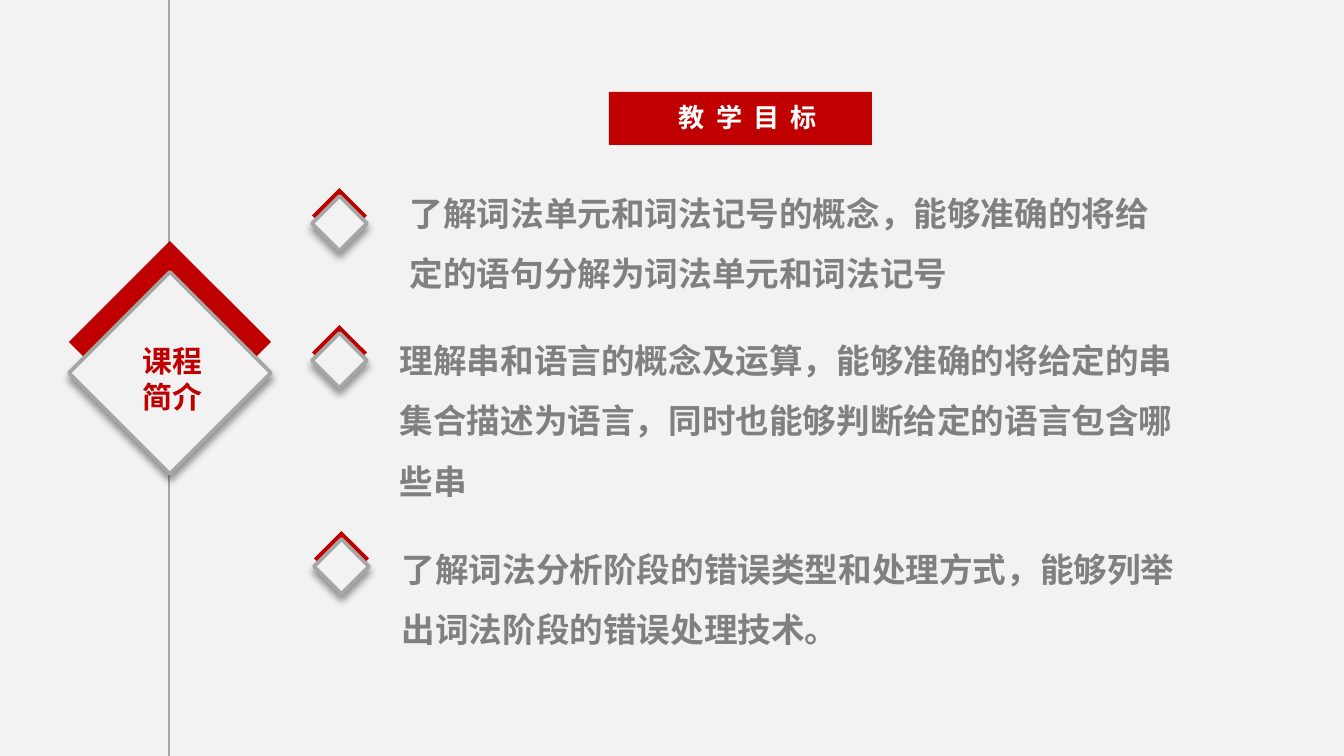
"""Build the course goals slide."""
from dataclasses import dataclass

from lxml import etree
from pptx import Presentation, util as u
from pptx.dml.color import RGBColor
from pptx.enum import shapes, text
from pptx.oxml import parse_xml
from pptx.oxml.ns import nsdecls, qn

SCALE = 914400 / 134.4
SHADE = (
    f'<a:outerShdw {nsdecls("a")} blurRad="50800" dist="38100" dir="5400000" '
    'algn="t" rotWithShape="0"><a:srgbClr val="000000"><a:alpha val="40000"/>'
    '</a:srgbClr></a:outerShdw>'
)


@dataclass(frozen=True)
class Theme:
    font: str = "Noto Sans CJK SC"
    red: str = "C00000"
    pale: str = "F2F2F2"
    edge: str = "A6A6A6"
    grey: str = "808080"
    white: str = "FFFFFF"
    head: int = 14
    label: int = 16
    body: int = 18


def px(*vals):
    return [u.Emu(round(v * SCALE)) for v in vals]


def tint(code):
    return RGBColor.from_string(code)


def write(box, words, size, color, font, align=None, wrap=True, grow=True,
          space=None, indent=0, track=0, anchor=text.MSO_ANCHOR.TOP):
    frame = box.text_frame
    frame.text = words
    frame.word_wrap = wrap
    fit = text.MSO_AUTO_SIZE
    frame.auto_size = fit.SHAPE_TO_FIT_TEXT if grow else fit.NONE
    frame.vertical_anchor = anchor
    frame.margin_left = frame.margin_right = u.Inches(0.07)
    frame.margin_top = frame.margin_bottom = u.Inches(0.04)
    for para in frame.paragraphs:
        para.alignment = align
        if space:
            para.line_spacing = space
        if indent:
            para.level = 1
            props = para._p.get_or_add_pPr()
            props.set("marL", str(u.Inches(indent)))
            props.set("indent", "0")
        for run in para.runs:
            face = run.font
            face.name, face.size, face.bold = font, u.Pt(size), True
            face.color.rgb = tint(color)
            props = run._r.get_or_add_rPr()
            etree.SubElement(props, qn("a:ea"), typeface=font)
            if track:
                props.set("spc", str(track * 100))


class Deck:
    def __init__(self, theme):
        self.theme = theme
        self.prs = Presentation()
        self.prs.slide_width, self.prs.slide_height = px(1344, 756)
        self.slide = self.prs.slides.add_slide(self.prs.slide_layouts[5])
        fill = self.slide.background.fill
        fill.solid()
        fill.fore_color.rgb = tint(theme.pale)

    def line(self, *ends):
        link = self.slide.shapes.add_connector(
            shapes.MSO_CONNECTOR.STRAIGHT, *px(*ends))
        link.line.color.rgb = tint(self.theme.edge)
        link.line.width = u.Pt(0.75)
        etree.SubElement(link._element.spPr, qn("a:effectLst"))

    def shape(self, home, kind, area, fill, raised=False):
        item = home.add_shape(kind, *px(*area))
        item.fill.solid()
        item.fill.fore_color.rgb = tint(fill)
        item.shadow.inherit = False
        if raised:
            item.line.color.rgb = tint(self.theme.edge)
            item.line.width = u.Pt(2)
            item._element.spPr.find(qn("a:effectLst")).append(parse_xml(SHADE))
        else:
            item.line.fill.background()
        return item

    def diamond(self, left, top, size, drop, group=True):
        home = self.slide.shapes
        if group:
            home = home.add_group_shape().shapes
        kind = shapes.MSO_SHAPE.FLOWCHART_DECISION
        self.shape(home, kind, (left, top, size, size), self.theme.red)
        self.shape(home, kind, (left, top + drop, size, size),
                   self.theme.pale, raised=True)

    def text(self, area, words, size, color, **form):
        box = self.slide.shapes.add_textbox(*px(*area))
        write(box, words, size, color, self.theme.font, **form)

    def title(self, bar, area, words):
        look = self.theme
        back = self.shape(self.slide.shapes, shapes.MSO_SHAPE.RECTANGLE,
                          bar, look.red)
        head = self.slide.shapes.title
        head.left, head.top, head.width, head.height = px(*area)
        write(head, words, look.head, look.white, look.font, grow=False,
              align=text.PP_ALIGN.CENTER, track=6,
              anchor=text.MSO_ANCHOR.MIDDLE)
        back.element.addnext(head.element)


GOALS = [
    ((312, 188), (333, 167, 844, 129),
     "了解词法单元和词法记号的概念，能够准确的将给定的语句分解为词法单元和词法记号"),
    ((312, 325), (323, 314, 867, 190),
     "理解串和语言的概念及运算，能够准确的将给定的串集合描述为语言，"
     "同时也能够判断给定的语言包含哪些串"),
    ((314, 531), (325, 523, 867, 129),
     "了解词法分析阶段的错误类型和处理方式，能够列举出词法阶段的错误处理技术。"),
]


def main():
    look = Theme()
    deck = Deck(look)
    deck.line(169, 0, 169, 756)
    deck.diamond(69, 241, 202, 31, group=False)
    deck.text((133, 337, 79, 82), "课程\n简介", look.label, look.red,
              align=text.PP_ALIGN.CENTER, wrap=False)
    deck.title((609, 92, 263, 53), (625, 92, 246, 51), "教学目标")
    for spot, area, words in GOALS:
        deck.text(area, words, look.body, look.grey, space=1.5, indent=0.5)
        deck.diamond(*spot, 55, 8)
    deck.prs.save("out.pptx")


if __name__ == "__main__":
    main()
